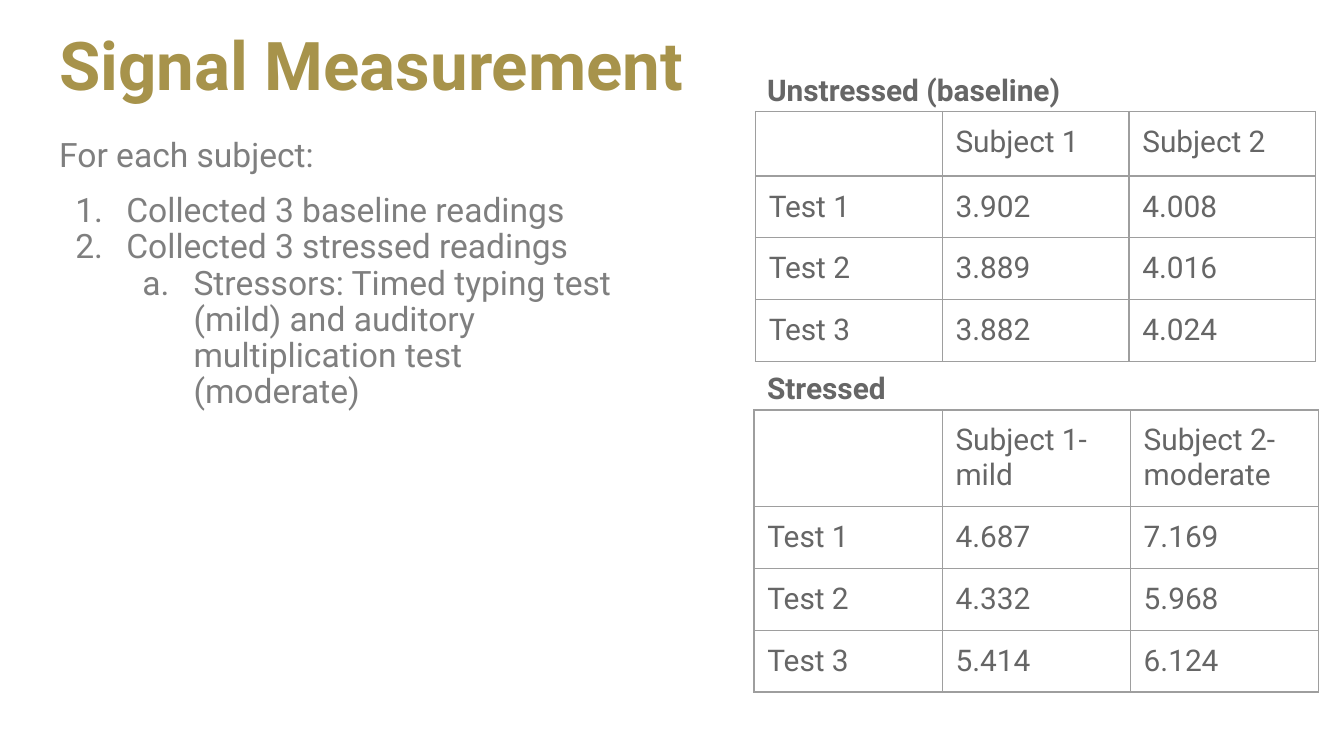
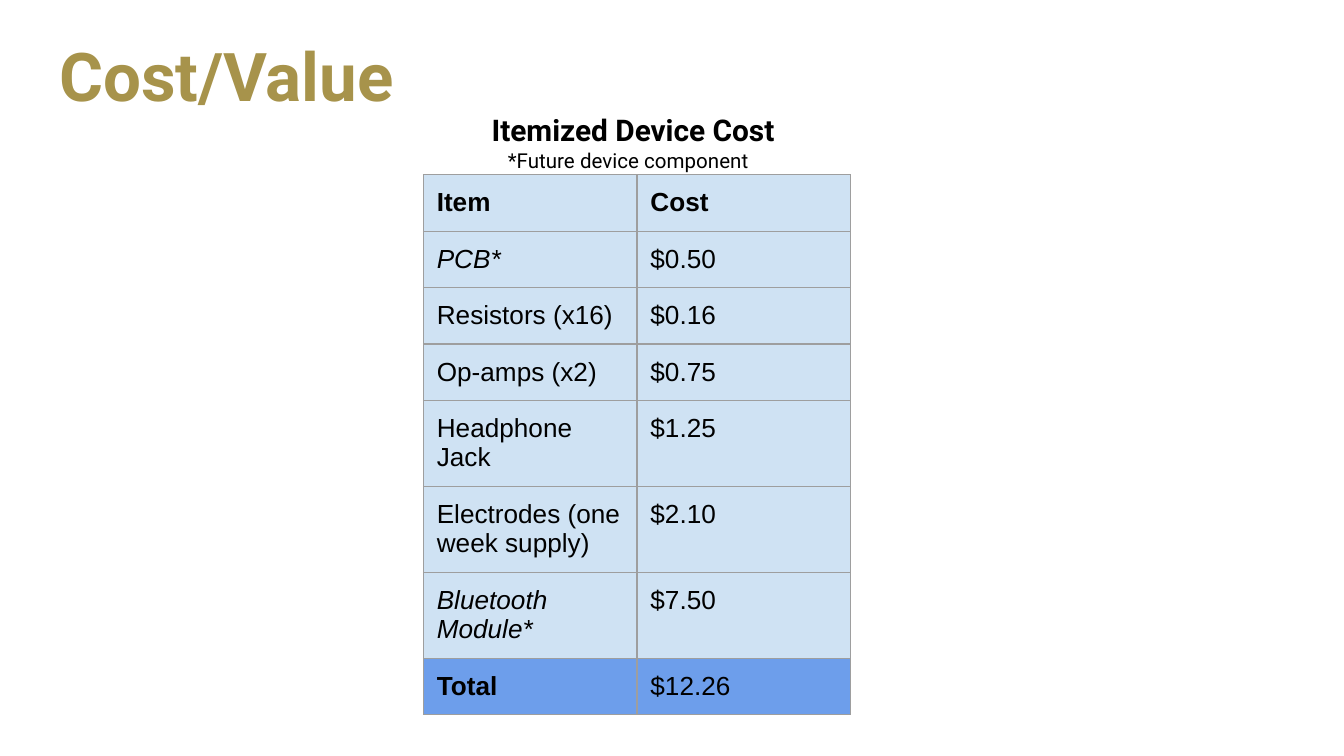
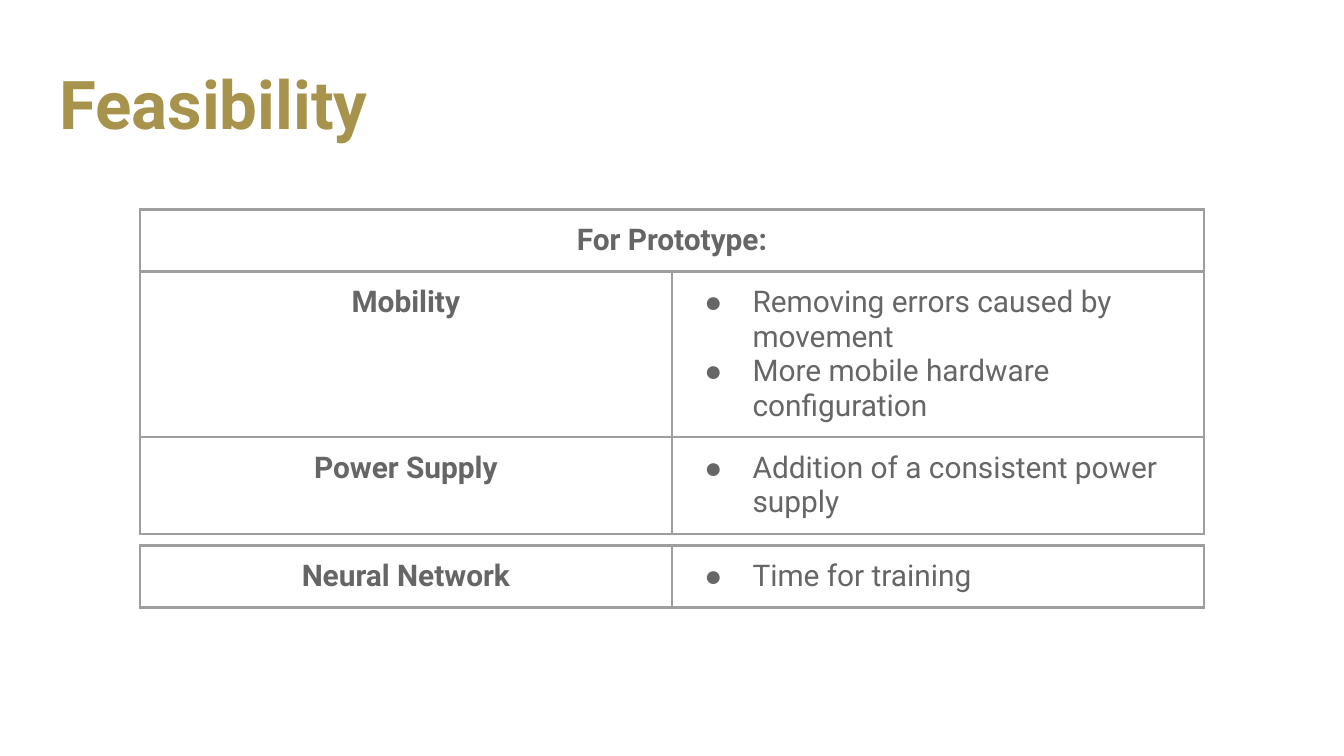
"""Build three slides on signal readings, device cost and feasibility."""
from lxml import etree
from pptx import Presentation
from pptx import util as u
from pptx.dml.color import RGBColor
from pptx.enum import text
from pptx.oxml import ns

GOLD, GREY, MID, EDGE, BLACK = "A7934B", "7F7F7F", "666666", "9E9E9E", "000000"
PALE_BLUE, BLUE = "CFE2F3", "6D9EEB"


def rgb(value):
    return RGBColor.from_string(value)


def add_xml(parent, tag, **attrs):
    return etree.SubElement(parent, ns.qn(tag), attrs)


class Deck:
    def __init__(self):
        self.prs = Presentation()
        self.prs.slide_width = u.Inches(10)
        self.prs.slide_height = u.Inches(10 * 9 / 16)
        self.font = "Roboto"
        self.s = None

    def slide(self, title, top, layout=5):
        self.s = self.prs.slides.add_slide(self.prs.slide_layouts[layout])
        tf = self.place(self.s.shapes.title, 0.34, top, 9.32, 0.63)
        tf.vertical_anchor = text.MSO_ANCHOR.MIDDLE
        p = tf.paragraphs[0]
        p.alignment = text.PP_ALIGN.LEFT
        p.line_spacing = 0.9
        self.run(p, title, 36, GOLD, bold=True)

    def place(self, sp, x, y, w, h):
        sp.left, sp.top, sp.width, sp.height = map(u.Inches, (x, y, w, h))
        tf = sp.text_frame
        tf.word_wrap = True
        tf.auto_size = text.MSO_AUTO_SIZE.NONE
        return tf

    def run(self, p, words, size, color, bold=False, italic=False, font=None):
        r = p.add_run()
        r.text = words
        f = r.font
        f.name, f.size, f.bold, f.italic = font or self.font, u.Pt(size), bold, italic
        f.color.rgb = rgb(color)

    def bullet(self, p, color, left, hang, kind, font="Roboto", **attrs):
        pr = p._p.get_or_add_pPr()
        pr.set("marL", str(u.Inches(left)))
        pr.set("indent", str(-u.Inches(hang)))
        add_xml(add_xml(pr, "a:buClr"), "a:srgbClr", val=color)
        add_xml(pr, "a:buFont", typeface=font)
        add_xml(pr, kind, **attrs)

    def body(self, x, y, w, h, items):
        tf = self.place(self.s.placeholders[1], x, y, w, h)
        for i, (words, level, numbering, before) in enumerate(items):
            p = tf.add_paragraph() if i else tf.paragraphs[0]
            p.level = level
            p.line_spacing = 0.9
            p.space_before = u.Pt(before)
            if numbering:
                self.bullet(p, GREY, 0.5 + 0.5 * level, 0.38, "a:buAutoNum", type=numbering)
            else:
                self.bullet(p, GREY, 0, 0, "a:buNone")
            self.run(p, words, 18, GREY)

    def caption(self, words, x, y, w, h, size=16, color=MID, bold=True):
        sp = self.s.shapes.add_textbox(0, 0, 0, 0)
        tf = self.place(sp, x, y, w, h)
        self.inset(tf)
        self.run(tf.paragraphs[0], words, size, color, bold)

    def inset(self, target):
        target.margin_left = target.margin_right = u.Inches(0.1)
        target.margin_top = target.margin_bottom = u.Inches(0.1)

    def border(self, cell, width):
        pr = cell._tc.get_or_add_tcPr()
        for side in "LRTB":
            ln = add_xml(pr, f"a:ln{side}", w=str(u.Pt(width)))
            add_xml(add_xml(ln, "a:solidFill"), "a:srgbClr", val=EDGE)

    def table(self, x, y, col_width, heights, rows, size=16, color=MID, font=None,
              line=0.75, fills=None, bold=lambda r, c: False, center=False):
        cols = len(rows[-1])
        frame = self.s.shapes.add_table(
            len(rows), cols, u.Inches(x), u.Inches(y),
            u.Inches(col_width * cols), u.Inches(sum(heights)))
        tbl = frame.table
        tbl.first_row = tbl.horz_banding = False
        for col in tbl.columns:
            col.width = u.Inches(col_width)
        for i, row in enumerate(rows):
            tbl.rows[i].height = u.Inches(heights[i])
            for j in range(cols):
                cell = tbl.cell(i, j)
                self.inset(cell)
                self.border(cell, line)
                if fills:
                    cell.fill.solid()
                    cell.fill.fore_color.rgb = rgb(fills[i])
                else:
                    cell.fill.background()
            if len(row) < cols:
                tbl.cell(i, 0).merge(tbl.cell(i, cols - 1))
            for j, content in enumerate(row):
                tf = tbl.cell(i, j).text_frame
                listed = isinstance(content, list)
                for k, words in enumerate(content if listed else [content]):
                    p = tf.add_paragraph() if k else tf.paragraphs[0]
                    if listed:
                        self.bullet(p, color, 0.5, 0.36, "a:buChar", "Arial", char="●")
                    elif center:
                        p.alignment = text.PP_ALIGN.CENTER
                    if words:
                        self.run(p, words, size, color, bold(i, j), words.endswith("*"), font)
                    else:
                        add_xml(p._p, "a:endParaRPr", sz=str(size * 100))


def signal_measurement(deck):
    deck.slide("Signal Measurement", 0.2, layout=1)
    deck.body(0.34, 0.98, 4.47, 4.02, [
        ("For each subject:", 0, None, 10),
        ("Collected 3 baseline readings", 0, "arabicPeriod", 10),
        ("Collected 3 stressed readings", 0, "arabicPeriod", 0),
        ("Stressors: Timed typing test (mild) and auditory multiplication test (moderate)",
         1, "alphaLcPeriod", 0),
    ])
    deck.table(5.62, 0.83, 1.39, [0.48] + [0.46] * 3, [
        ["", "Subject 1", "Subject 2"],
        ["Test 1", "3.902", "4.008"],
        ["Test 2", "3.889", "4.016"],
        ["Test 3", "3.882", "4.024"],
    ])
    deck.table(5.61, 3.05, 1.4, [0.72] + [0.46] * 3, [
        ["", "Subject 1-mild", "Subject 2-moderate"],
        ["Test 1", "4.687", "7.169"],
        ["Test 2", "4.332", "5.968"],
        ["Test 3", "5.414", "6.124"],
    ])
    deck.caption("Unstressed (baseline)", 5.61, 0.43, 2.47, 0.39)
    deck.caption("Stressed", 5.61, 2.65, 1.5, 0.32)


def cost_value(deck):
    deck.slide("Cost/Value", 0.28)
    rows = [
        ["Item", "Cost"],
        ["PCB*", "$0.50"],
        ["Resistors (x16)", "$0.16"],
        ["Op-amps (x2)", "$0.75"],
        ["Headphone Jack", "$1.25"],
        ["Electrodes (one week supply)", "$2.10"],
        ["Bluetooth Module*", "$7.50"],
        ["Total", "$12.26"],
    ]
    last = len(rows) - 1
    deck.table(3.15, 1.3, 1.59, [0.42] * 4 + [0.64] * 3 + [0.42], rows,
               size=14, color=BLACK, font="Arial", fills=[PALE_BLUE] * last + [BLUE],
               bold=lambda r, c: r == 0 or (r == last and c == 0))
    deck.caption("Itemized Device Cost", 3.56, 0.73, 2.35, 0.39, color=BLACK)
    deck.caption("*Future device component", 3.68, 1, 2.11, 0.42, 11, BLACK, bold=False)


def feasibility(deck):
    deck.slide("Feasibility", 0.49)
    prototype = [
        ["For Prototype:"],
        ["Mobility", ["Removing errors caused by movement",
                      "More mobile hardware configuration"]],
        ["Power Supply", ["Addition of a consistent power supply"]],
    ]
    network = [["Neural Network", ["Time for training"]]]
    for y, heights, rows in ((1.56, [0.46, 1.23, 0.72], prototype), (4.06, [0.46], network)):
        deck.table(1.04, y, 3.96, heights, rows, line=1.5,
                   bold=lambda r, c: c == 0, center=True)


def main():
    deck = Deck()
    signal_measurement(deck)
    cost_value(deck)
    feasibility(deck)
    deck.prs.save("out.pptx")


if __name__ == "__main__":
    main()
